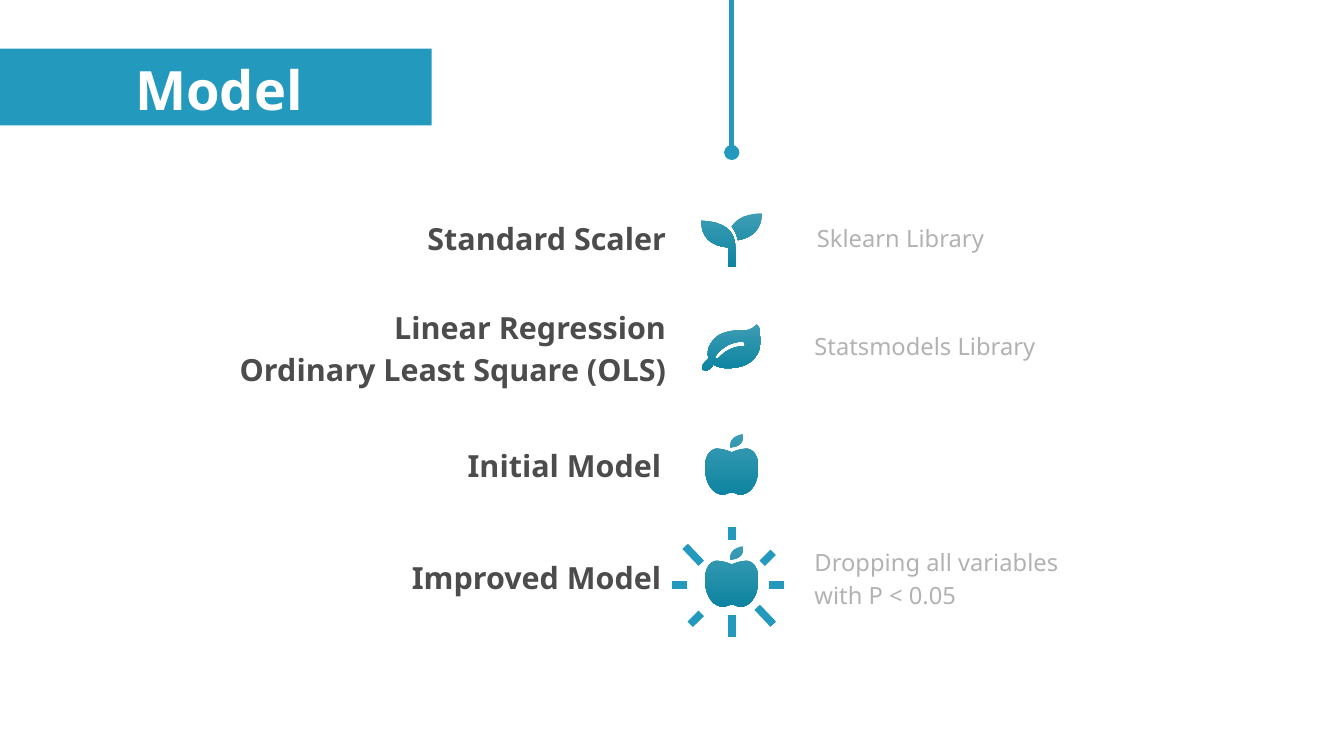
from dataclasses import dataclass

import lxml.etree
import pptx
import pptx.dml.color
import pptx.enum.shapes
import pptx.enum.text
import pptx.oxml.ns
import pptx.util

Pt = pptx.util.Pt
RGB = pptx.dml.color.RGBColor
ALIGN = pptx.enum.text.PP_ALIGN
Contour = list[tuple[float, float]]


@dataclass(frozen=True)
class Theme:
    font: str = "Noto Sans"
    accent: str = "2499BE"
    icon_top: str = "3D9DB4"
    icon_bottom: str = "0D84A1"
    heading: str = "4C4C4C"
    note: str = "B2B2B2"
    white: str = "FFFFFF"
    title_size: float = 32
    heading_size: float = 18
    note_size: float = 14


@dataclass(frozen=True)
class Note:
    text: str
    left: float
    top: float
    height: float = 28.8


@dataclass(frozen=True)
class Step:
    heading: str
    right: float
    top: float
    icon: list[Contour]
    icon_top: float
    note: Note | None = None


@dataclass(frozen=True)
class Ray:
    x: float
    y: float
    dx: float
    dy: float


def mirrored(half: Contour, width: float) -> Contour:
    return half + [(width - x, y) for x, y in half[-2:0:-1]]


THEME = Theme()
CURVE_STEPS = 8
ICON_UNIT = 0.72
AXIS_X = 432
HEADING_W, HEADING_H, NOTE_W = 396, 63.36, 175

SPROUT: list[Contour] = [
    [(0, 6), (28, 7), (28, 28), (28, 44), (28, 44), (22, 44), (22, 44), (22, 28), (22, 28), (0, 26)],
    [(50, 0), (49, 19), (30, 22), (29, 16), (25, 11), (32, 0)],
]
LEAF: list[Contour] = [
    [(33, 14), (18, 15), (10, 27), (12, 29), (14, 27), (22, 18), (34, 18), (36, 16)],
    [(44, 0), (48, 0), (48, 16), (44, 36), (21, 36), (14, 36), (9, 33), (6, 38), (2, 38),
     (-4, 36), (5, 28), (2, 18), (13, 9), (22, 4), (35, 5), (41, 4)],
]
APPLE: list[Contour] = [
    mirrored([(22, 15), (29, 12), (35, 12), (44, 14), (44, 29), (42, 49), (28, 50), (25, 48),
              (22, 48)], 44),
    [(21, 11), (20, 2), (31, 0), (33, 10)],
]
STEPS = [
    Step("Standard Scaler", 400.32, 123.12, SPROUT, 126,
         Note("Sklearn Library", 475.2, 126)),
    Step("Linear Regression\nOrdinary Least Square (OLS)", 400.32, 175.68, LEAF, 191.52,
         Note("Statsmodels Library", 473.76, 190.08)),
    Step("Initial Model", 397.44, 257.04, APPLE, 256.32),
    Step("Improved Model", 397.44, 323.28, APPLE, 322.56,
         Note("Dropping all variables with P < 0.05", 473.76, 317.52, 51.12)),
]
RAYS = [
    Ray(450, 332.6, 6.5, -6.5), Ray(414, 362.2, -6.5, 6.5),
    Ray(447, 358.6, 9.5, 10), Ray(414, 332.6, -9.5, -10),
    Ray(AXIS_X, 363, 0, 13), Ray(AXIS_X, 319, 0, -8),
    Ray(405.3, 345.6, -8.6, 0), Ray(454.3, 345.6, 8.6, 0),
]


def write(tf, text: str, *, size: float, color: str, bold: bool = False,
          align=ALIGN.LEFT, spacing: float = 1.0) -> None:
    tf.word_wrap = True
    for i, line in enumerate(text.split("\n")):
        p = tf.add_paragraph() if i else tf.paragraphs[0]
        p.alignment, p.line_spacing = align, spacing
        r = p.add_run()
        r.text = line
        r.font.name, r.font.size, r.font.bold = THEME.font, Pt(size), bold
        r.font.color.rgb = RGB.from_string(color)


def add_text(s, text: str, left: float, top: float, width: float, height: float, **fmt) -> None:
    box = s.shapes.add_textbox(Pt(left), Pt(top), Pt(width), Pt(height))
    write(box.text_frame, text, spacing=1.15, **fmt)


def add_line(s, x1: float, y1: float, x2: float, y2: float, width: float,
             oval_start: bool = False) -> None:
    line = s.shapes.add_connector(pptx.enum.shapes.MSO_CONNECTOR.STRAIGHT,
                                  Pt(x1), Pt(y1), Pt(x2), Pt(y2))
    line.line.width = Pt(width)
    line.line.color.rgb = RGB.from_string(THEME.accent)
    qn = pptx.oxml.ns.qn
    if oval_start:
        ln = line.element.spPr.find(qn("a:ln"))
        lxml.etree.SubElement(ln, qn("a:headEnd"), type="oval")
    lxml.etree.SubElement(line.element.spPr, qn("a:effectLst"))


def flatten(contour: Contour) -> Contour:
    ends, controls = contour[::2], contour[1::2]
    points = [ends[0]]
    for start, control, end in zip(ends, controls, ends[1:] + ends[:1]):
        for i in range(1, CURVE_STEPS + 1):
            t = i / CURVE_STEPS
            u = 1 - t
            points.append(tuple(u * u * a + 2 * u * t * b + t * t * c
                                for a, b, c in zip(start, control, end)))
    return points


def add_icon(s, contours: list[Contour], top: float) -> None:
    flat = [flatten(c) for c in contours]
    width = max(x for points in flat for x, _ in points)
    left = AXIS_X - width * ICON_UNIT / 2
    outlines = [[(Pt(left + x * ICON_UNIT), Pt(top + y * ICON_UNIT)) for x, y in points]
                for points in flat]
    builder = s.shapes.build_freeform(*outlines[0][0])
    for i, outline in enumerate(outlines):
        if i:
            builder.move_to(*outline[0])
        builder.add_line_segments(outline[1:], close=True)
    sp = builder.convert_to_shape()
    sp.shadow.inherit = False
    sp.line.fill.background()
    sp.fill.gradient()
    sp.fill.gradient_angle = 270
    for stop, color in zip(sp.fill.gradient_stops, (THEME.icon_top, THEME.icon_bottom)):
        stop.color.rgb = RGB.from_string(color)


def add_title(s, text: str) -> None:
    title = s.shapes.title
    title.left, title.top, title.width, title.height = Pt(8.64), Pt(30.24), Pt(241.2), Pt(43.92)
    tf = title.text_frame
    tf.margin_left = tf.margin_right = tf.margin_top = tf.margin_bottom = 0
    tf.vertical_anchor = pptx.enum.text.MSO_ANCHOR.MIDDLE
    tf.auto_size = pptx.enum.text.MSO_AUTO_SIZE.NONE
    write(tf, text, size=THEME.title_size, color=THEME.white, bold=True, align=ALIGN.CENTER)
    banner = s.shapes.add_shape(pptx.enum.shapes.MSO_SHAPE.RECTANGLE,
                                0, Pt(28.8), Pt(254.88), Pt(45.36))
    banner.shadow.inherit = False
    banner.fill.solid()
    banner.fill.fore_color.rgb = RGB.from_string(THEME.accent)
    banner.line.fill.background()
    title.element.addprevious(banner.element)


def add_step(s, step: Step) -> None:
    add_text(s, step.heading, step.right - HEADING_W, step.top, HEADING_W, HEADING_H,
             size=THEME.heading_size, color=THEME.heading, bold=True, align=ALIGN.RIGHT)
    add_icon(s, step.icon, step.icon_top)
    if step.note:
        add_text(s, step.note.text, step.note.left, step.note.top, NOTE_W, step.note.height,
                 size=THEME.note_size, color=THEME.note)


def main() -> None:
    prs = pptx.Presentation()
    prs.slide_width, prs.slide_height = Pt(793.44), Pt(446.4)
    s = prs.slides.add_slide(prs.slide_layouts[5])
    add_title(s, "Model")
    add_line(s, AXIS_X, 90, AXIS_X, 0, 3, oval_start=True)
    for step in STEPS:
        add_step(s, step)
    for ray in RAYS:
        add_line(s, ray.x, ray.y, ray.x + ray.dx, ray.y + ray.dy, 4.5)
    prs.save("out.pptx")


if __name__ == "__main__":
    main()
